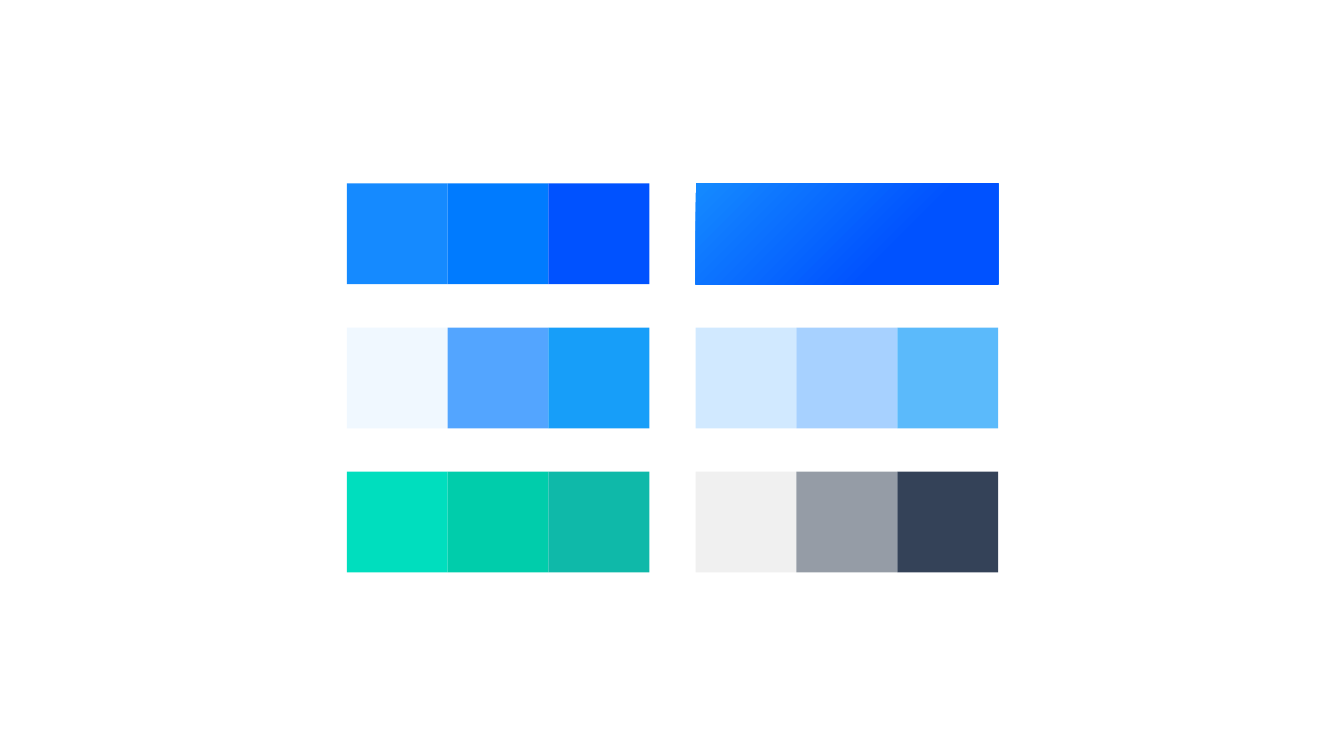
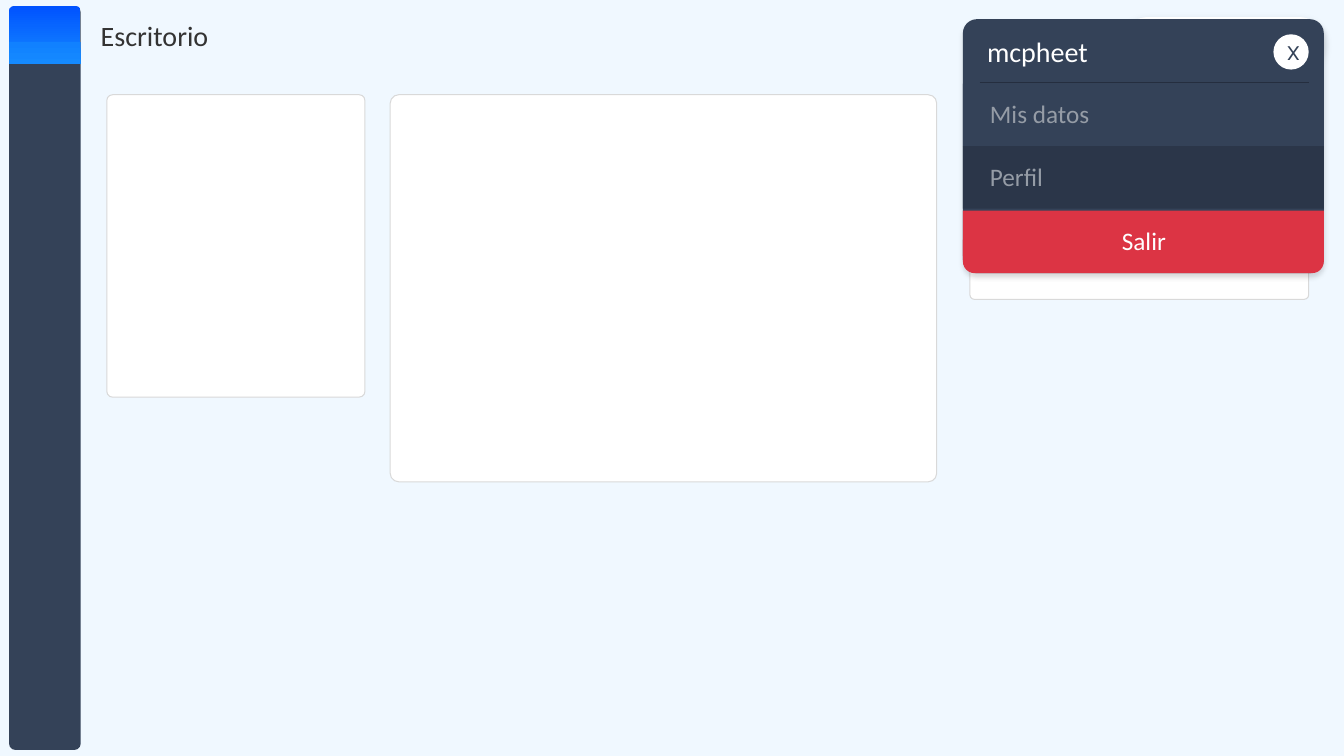
from lxml import etree
from pptx import Presentation
from pptx.dml.color import RGBColor
from pptx.enum.shapes import MSO_CONNECTOR, MSO_SHAPE as Shape
from pptx.enum.text import MSO_AUTO_SIZE, PP_ALIGN as Align
from pptx.oxml.ns import qn
from pptx.util import Pt

PX = 9144  # one hundredth of an inch
SLIDE_WIDTH, SLIDE_HEIGHT = 1333, 750

COLOURS = {
    "sky": "158AFF", "blue": "007BFF", "royal": "0052FF", "sky_deep": "1181FF",
    "ice": "F0F8FF", "cornflower": "53A5FF", "azure": "179EF9",
    "ice_dark": "D1E9FF", "powder": "A7D1FF", "light_blue": "5BBAFB",
    "mint": "00DEBE", "green": "00CDAB", "teal": "0FB9A9",
    "pale_grey": "F0F0F0", "grey": "959CA6", "navy": "344258",
    "navy_dark": "2B3649", "navy_line": "252E3F", "border": "D9D9D9",
    "red": "DC3444", "white": "FFFFFF", "black": "000000", "text": "333333",
}


def rgb(name):
    return RGBColor.from_string(COLOURS[name])


def px(*lengths):
    return [length * PX for length in lengths]


# Shared drawing helpers
def add_blank_slide(presentation):
    return presentation.slides.add_slide(presentation.slide_layouts[6])


def add_box(slide, box, fill=None, kind=Shape.RECTANGLE, radius=None, border=None):
    shape = slide.shapes.add_shape(kind, *px(*box))
    shape.shadow.inherit = False
    if radius is not None:
        shape.adjustments[0] = radius
    if fill:
        shape.fill.solid()
        shape.fill.fore_color.rgb = rgb(fill)
    if border:
        shape.line.color.rgb = rgb(border)
        shape.line.width = Pt(0.75)
    else:
        shape.line.fill.background()
    return shape


def add_rounded(slide, box, radius, fill=None, border=None):
    return add_box(slide, box, fill, Shape.ROUNDED_RECTANGLE, radius, border)


def set_gradient(shape, start, end, start_position=0):
    """Fill from top to bottom."""
    shape.fill.gradient()
    shape.fill.gradient_angle = 270
    stops = shape.fill.gradient_stops
    for stop, name, position in zip(stops, (start, end), (start_position, 1)):
        stop.color.rgb = rgb(name)
        stop.position = position


def make_radial(shape):
    """Let the gradient spread from the bottom right corner."""
    gradient = shape._element.spPr.find(qn("a:gradFill"))
    linear = gradient.find(qn("a:lin"))
    circle = etree.Element(qn("a:path"), path="circle")
    etree.SubElement(circle, qn("a:fillToRect"), l="100000", t="100000")
    gradient.replace(linear, circle)


def add_shadow(shape, blur):
    effects = shape._element.spPr.find(qn("a:effectLst"))
    shadow = etree.SubElement(
        effects, qn("a:outerShdw"), blurRad=str(Pt(blur)), dist=str(Pt(3)),
        dir="5400000", algn="t", rotWithShape="0")
    colour = etree.SubElement(shadow, qn("a:srgbClr"), val=COLOURS["black"])
    etree.SubElement(colour, qn("a:alpha"), val="15000")


def add_text(slide, box, text, colour, size=18, align=Align.LEFT,
             font="Calibri", wrap=True):
    frame = slide.shapes.add_textbox(*px(*box)).text_frame
    frame.word_wrap = wrap
    frame.auto_size = MSO_AUTO_SIZE.SHAPE_TO_FIT_TEXT
    frame.text = text
    paragraph = frame.paragraphs[0]
    paragraph.alignment = align
    run_font = paragraph.runs[0].font
    run_font.name, run_font.size = font, Pt(size)
    run_font.color.rgb = rgb(colour)


def add_rule(slide, left, right, y, colour):
    line = slide.shapes.add_connector(MSO_CONNECTOR.STRAIGHT, *px(left, y, right, y))
    line.line.color.rgb = rgb(colour)
    line.line.width = Pt(0.5)
    etree.SubElement(line._element.spPr, qn("a:effectLst"))


# Colour palette
def add_swatches(slide, box, names):
    left, top, width, height = box
    step = width // len(names)
    for index, name in enumerate(names):
        add_box(slide, (left + index * step, top, step, height), name)


def add_gradient_swatch(slide, box):
    swatch = add_box(slide, box)
    set_gradient(swatch, "royal", "sky", 0.34)
    make_radial(swatch)


def build_palette_slide(presentation):
    slide = add_blank_slide(presentation)
    left, top, width, height = 344, 182, 300, 100
    column_step, row_step = 346, 143
    rows = [
        [("sky", "blue", "royal"), None],
        [("ice", "cornflower", "azure"), ("ice_dark", "powder", "light_blue")],
        [("mint", "green", "teal"), ("pale_grey", "grey", "navy")],
    ]
    for row, groups in enumerate(rows):
        for column, names in enumerate(groups):
            box = (left + column * column_step, top + row * row_step, width, height)
            if names:
                add_swatches(slide, box, names)
            else:
                add_gradient_swatch(slide, box)


# Desktop screen
def add_cards(slide, top, cards):
    for left, width, height in cards:
        add_rounded(slide, (left, top, width, height), 0.022, "white", "border")


def add_user_menu(slide, box):
    left, top, width, height = box
    row_height = 62

    # Account button behind the panel
    button = add_rounded(slide, (left + width - 199, top - 2, 199, 48), 0.5, "white")
    add_shadow(button, 7)
    panel = add_rounded(slide, box, 0.055, "navy")
    add_shadow(panel, 4)

    # Header with user name and close button
    add_text(slide, (left - 7, top + 10, 162, 44), "mcpheet", "white", 20, Align.CENTER)
    add_rule(slide, left + 17, left + width - 15, top + 63, "navy_line")
    add_box(slide, (left + width - 50, top + 15, 35, 35), "white", Shape.OVAL)
    add_text(slide, (left + width - 46, top + 11, 27, 40), "x", "navy",
             align=Align.CENTER, font="TeX Gyre Adventor", wrap=False)

    # Menu entries
    for index, (label, fill) in enumerate([("Mis datos", "navy"), ("Perfil", "navy_dark")]):
        row_top = top + 64 + index * row_height
        add_box(slide, (left, row_top, width, row_height), fill)
        add_text(slide, (left + 17, row_top + 10, 205, 40), label, "grey")

    # Exit button: square above, rounded below
    add_box(slide, (left, top + 190, width, 45), "red")
    add_rounded(slide, (left, top + height - 44, width, 44), 0.265, "red")
    add_text(slide, (left + 77, top + 200, 205, 40), "Salir", "white", align=Align.CENTER)


def add_sidebar(slide, box):
    left, top, width, height = box
    add_rounded(slide, box, 0.085, "navy")
    cap = add_rounded(slide, (left, top, width, 57), 0.085)
    set_gradient(cap, "royal", "sky")
    cap_base = add_box(slide, (left, top + 36, width, 22))
    set_gradient(cap_base, "sky_deep", "sky")


def build_desktop_slide(presentation):
    slide = add_blank_slide(presentation)
    add_box(slide, (0, 0, SLIDE_WIDTH, SLIDE_HEIGHT), "ice")
    add_text(slide, (90, 13, 169, 44), "Escritorio", "text", 20)
    add_cards(slide, 94, [(962, 336, 203), (387, 542, 384), (106, 256, 300)])
    add_user_menu(slide, (955, 19, 358, 252))
    add_sidebar(slide, (9, 6, 71, 738))


def main():
    presentation = Presentation()
    presentation.slide_width, presentation.slide_height = px(SLIDE_WIDTH, SLIDE_HEIGHT)
    build_palette_slide(presentation)
    build_desktop_slide(presentation)
    presentation.save("out.pptx")


if __name__ == "__main__":
    main()
